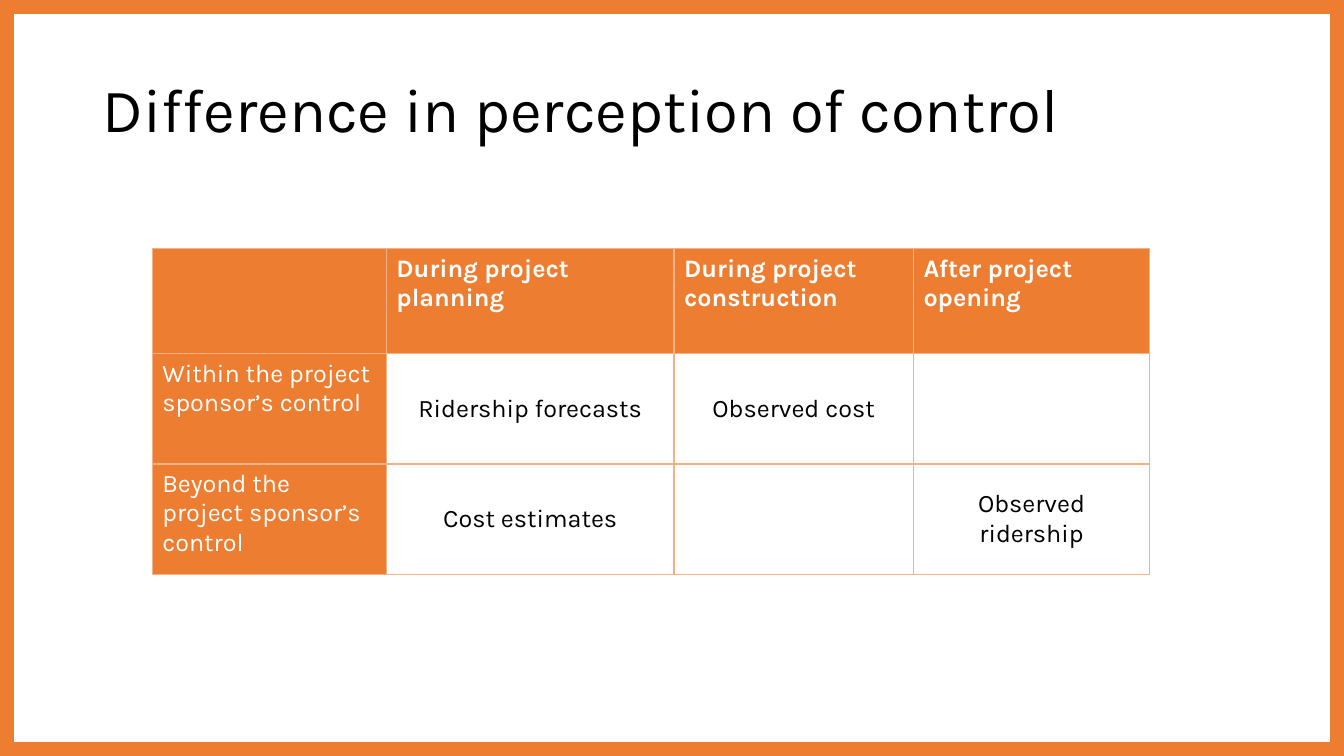
"""Build the slide on the difference in perception of control."""
from lxml import etree
from pptx import Presentation
from pptx.dml.color import RGBColor
from pptx.enum.shapes import MSO_SHAPE
from pptx.enum.text import MSO_ANCHOR, MSO_AUTO_SIZE, PP_ALIGN
from pptx.oxml.ns import qn
from pptx.util import Pt

PX = 9525
FONT = "Karla"
COLORS = {"orange": "ED7D31", "border": "F4B183", "white": "FFFFFF", "black": "000000"}
RECTANGLE = MSO_SHAPE.RECTANGLE
TOP, MIDDLE = MSO_ANCHOR.TOP, MSO_ANCHOR.MIDDLE
LEFT, CENTER = PP_ALIGN.LEFT, PP_ALIGN.CENTER
NO_FIT = MSO_AUTO_SIZE.NONE

COLUMN_WIDTHS = [223, 274, 228, 225]
ROW_HEIGHTS = [100, 105, 105]
CONTROL_ROWS = [
    ["", "During project planning", "During project construction", "After project opening"],
    ["Within the project sponsor’s control", "Ridership forecasts", "Observed cost", ""],
    ["Beyond the project sponsor’s control", "Cost estimates", "", "Observed ridership"],
]


def color(name):
    return RGBColor.from_string(COLORS[name])


def style_text(para, size, color_name, align, bold=False):
    para.alignment = align
    para.font.size = Pt(size)
    for span in para.runs:
        span.font.name = FONT
        span.font.size = Pt(size)
        span.font.bold = bold
        span.font.color.rgb = color(color_name)


deck = Presentation()
deck.slide_width, deck.slide_height = 1280 * PX, 720 * PX
page = deck.slides.add_slide(deck.slide_layouts[5])

frame = page.shapes.add_shape(RECTANGLE, 0, 0, deck.slide_width, deck.slide_height)
frame.shadow.inherit = False
frame.fill.background()
frame.line.color.rgb = color("orange")
frame.line.width = Pt(20)

title = page.shapes.title
title.left, title.top, title.width, title.height = 88 * PX, 38 * PX, 1104 * PX, 139 * PX
title.text_frame.text = "Difference in perception of control"
title.text_frame.vertical_anchor = MIDDLE
title.text_frame.auto_size = NO_FIT
title.text_frame.paragraphs[0].line_spacing = 0.9
style_text(title.text_frame.paragraphs[0], 44, "black", LEFT)

table = page.shapes.add_table(
    len(ROW_HEIGHTS), len(COLUMN_WIDTHS), 145 * PX, 237 * PX,
    sum(COLUMN_WIDTHS) * PX, sum(ROW_HEIGHTS) * PX,
).table
for column, width in zip(table.columns, COLUMN_WIDTHS):
    column.width = width * PX
for row, height in zip(table.rows, ROW_HEIGHTS):
    row.height = height * PX

for row_index, labels in enumerate(CONTROL_ROWS):
    for column_index, label in enumerate(labels):
        cell = table.cell(row_index, column_index)
        is_header = row_index == 0 or column_index == 0
        cell.text_frame.text = label
        cell.vertical_anchor = TOP if is_header else MIDDLE
        style_text(
            cell.text_frame.paragraphs[0], 18,
            "white" if is_header else "black",
            LEFT if is_header else CENTER,
            bold=row_index == 0,
        )
        properties = cell._tc.get_or_add_tcPr()
        for side in ("a:lnL", "a:lnR", "a:lnT", "a:lnB"):
            edge = etree.SubElement(properties, qn(side), w=str(Pt(1)))
            edge_fill = etree.SubElement(edge, qn("a:solidFill"))
            etree.SubElement(edge_fill, qn("a:srgbClr"), val=COLORS["border"])
        cell.fill.solid()
        cell.fill.fore_color.rgb = color("orange" if is_header else "white")

deck.save("out.pptx")
